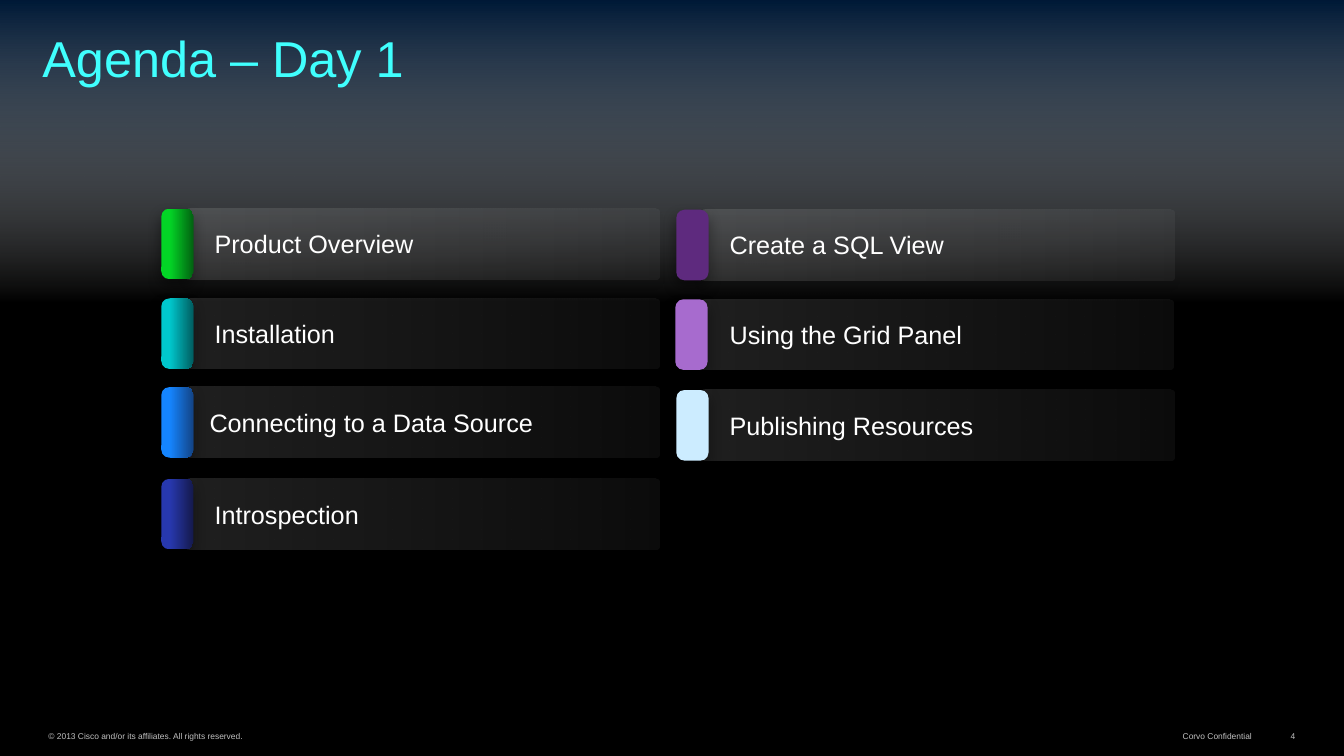
from lxml.etree import SubElement
from pptx import Presentation
from pptx.dml.color import RGBColor
from pptx.enum.shapes import MSO_SHAPE
from pptx.enum.text import MSO_ANCHOR, MSO_AUTO_SIZE, PP_ALIGN
from pptx.oxml.ns import qn
from pptx.util import Pt

BLACK = RGBColor(0x00, 0x00, 0x00)
WHITE = RGBColor(0xFF, 0xFF, 0xFF)
NAVY = RGBColor(0x00, 0x1A, 0x38)
GREY = RGBColor(0xC0, 0xC0, 0xC0)
AQUA = RGBColor(0x40, 0xFF, 0xFE)
GREEN = RGBColor(0x03, 0xD5, 0x26)
FOREST = RGBColor(0x02, 0x62, 0x11)
CYAN = RGBColor(0x00, 0xC8, 0xCD)
TEAL = RGBColor(0x00, 0x5D, 0x60)
BLUE = RGBColor(0x15, 0x85, 0xFF)
DENIM = RGBColor(0x13, 0x44, 0x86)
ROYAL = RGBColor(0x27, 0x38, 0xAE)
INK = RGBColor(0x15, 0x1A, 0x4E)
PLUM = RGBColor(0x5E, 0x2A, 0x7E)
LILAC = RGBColor(0xA7, 0x6B, 0xCE)
ICE = RGBColor(0xCC, 0xEC, 0xFF)


def add_block(kind, box, stops, angle, shade):
    block = slide.shapes.add_shape(kind, *map(Pt, box))
    block.line.fill.background()
    props = block._element.spPr
    if len(stops) == 1:
        block.fill.solid()
        block.fill.fore_color.rgb = stops[0][1]
    else:
        block.fill.gradient()
        block.fill.gradient_angle = angle
        for stop, (place, color, alpha) in zip(block.fill.gradient_stops, stops):
            stop.position = place
            stop.color.rgb = color
        for node, (place, color, alpha) in zip(props.iter(qn("a:srgbClr")), stops):
            if alpha < 100:
                SubElement(node, qn("a:alpha"), val=str(alpha * 1000))
    block.shadow.inherit = False
    alpha, blur, dist, way = shade
    outer = SubElement(props.find(qn("a:effectLst")), qn("a:outerShdw"),
                       blurRad=str(Pt(blur)), dist=str(Pt(dist)),
                       dir=str(way * 60000), rotWithShape="0")
    tint = SubElement(outer, qn("a:srgbClr"), val=str(BLACK))
    SubElement(tint, qn("a:alpha"), val=str(alpha * 1000))
    return block


def set_text(shape, text, size, color, frame, align=PP_ALIGN.LEFT):
    body = shape.text_frame
    body.text = text
    for name, value in frame.items():
        setattr(body, name, value)
    para = body.paragraphs[0]
    para.alignment = align
    look = {"name": "Arial", "size": Pt(size), "bold": False}
    for name, value in look.items():
        setattr(para.runs[0].font, name, value)
    para.runs[0].font.color.rgb = color


deck = Presentation()
deck.slide_width, deck.slide_height = Pt(960), Pt(540)
slide = deck.slides.add_slide(deck.slide_layouts[5])
slide.background.fill.solid()
slide.background.fill.fore_color.rgb = BLACK

SOFT = (27, 6, 4, 90)
DEEP = (44, 10, 5, 94)

band = add_block(MSO_SHAPE.RECTANGLE, (0, 0, 960, 216.7),
                 [(0, NAVY, 100), (1, WHITE, 0)], 270, SOFT)
band._element.getparent().insert(2, band._element)

title = slide.shapes.title
place = {"left": 23.8, "top": 0, "width": 900.7, "height": 66.2}
for name, value in place.items():
    setattr(title, name, Pt(value))
HEAD = {"vertical_anchor": MSO_ANCHOR.BOTTOM, "auto_size": MSO_AUTO_SIZE.NONE,
        "word_wrap": True, "margin_left": Pt(6.5), "margin_right": Pt(6.5),
        "margin_top": Pt(3.6), "margin_bottom": Pt(3.6)}
set_text(title, "Agenda – Day 1", 36, AQUA, HEAD)
title.text_frame.paragraphs[0].line_spacing = 0.8

BAR_W, BAR_H, TAB_W = 338.4, 50.4, 23
ITEM = {"word_wrap": True, "auto_size": MSO_AUTO_SIZE.SHAPE_TO_FIT_TEXT}
items = [
    ("Product Overview", 132.5, 149, 146.2, 648, (GREEN, FOREST)),
    ("Installation", 132.5, 213.1, 146.2, 648, (CYAN, TEAL)),
    ("Connecting to a Data Source", 132.5, 276.5, 142.6, 648, (BLUE, DENIM)),
    ("Introspection", 132.5, 342, 146.2, 648, (ROYAL, INK)),
    ("Create a SQL View", 500.4, 149.8, 514.1, 192, (PLUM,)),
    ("Using the Grid Panel", 499.7, 213.8, 514.1, 192, (LILAC,)),
    ("Publishing Resources", 500.4, 278.6, 514.1, 192, (ICE,)),
]
for text, left, top, start, width, hues in items:
    bar = add_block(MSO_SHAPE.ROUNDED_RECTANGLE, (left, top, BAR_W, BAR_H),
                    [(0, WHITE, 13), (1, WHITE, 5)], 0, SOFT)
    bar.adjustments[0] = 0.06
    label = slide.shapes.add_textbox(Pt(start), Pt(top + 10.8), Pt(width), Pt(28.8))
    set_text(label, text, 18, WHITE, ITEM)
    stops = [(spot, hue, 100) for spot, hue in zip((0.26, 1), hues)]
    tab = add_block(MSO_SHAPE.ROUNDED_RECTANGLE,
                    (left - 31, top + (BAR_H - TAB_W) / 2, BAR_H, TAB_W),
                    stops, 270, DEEP)
    tab.rotation = 270
    tab.adjustments[0] = 0.25

FOOT = {"vertical_anchor": MSO_ANCHOR.BOTTOM,
        "auto_size": MSO_AUTO_SIZE.SHAPE_TO_FIT_TEXT,
        "margin_left": Pt(6.5), "margin_right": Pt(6.5),
        "margin_top": Pt(3), "margin_bottom": Pt(3)}
notes = [
    ("© 2013 Cisco and/or its affiliates. All rights reserved.",
     28.1, 359.3, True, PP_ALIGN.LEFT),
    ("Corvo Confidential", 838.1, 62.6, False, PP_ALIGN.RIGHT),
    ("4", 911.5, 20.2, False, PP_ALIGN.RIGHT),
]
for text, left, width, wrap, align in notes:
    note = slide.shapes.add_textbox(Pt(left), Pt(518.4), Pt(width), Pt(13.7))
    set_text(note, text, 6, GREY, {**FOOT, "word_wrap": wrap}, align)

deck.save("out.pptx")
